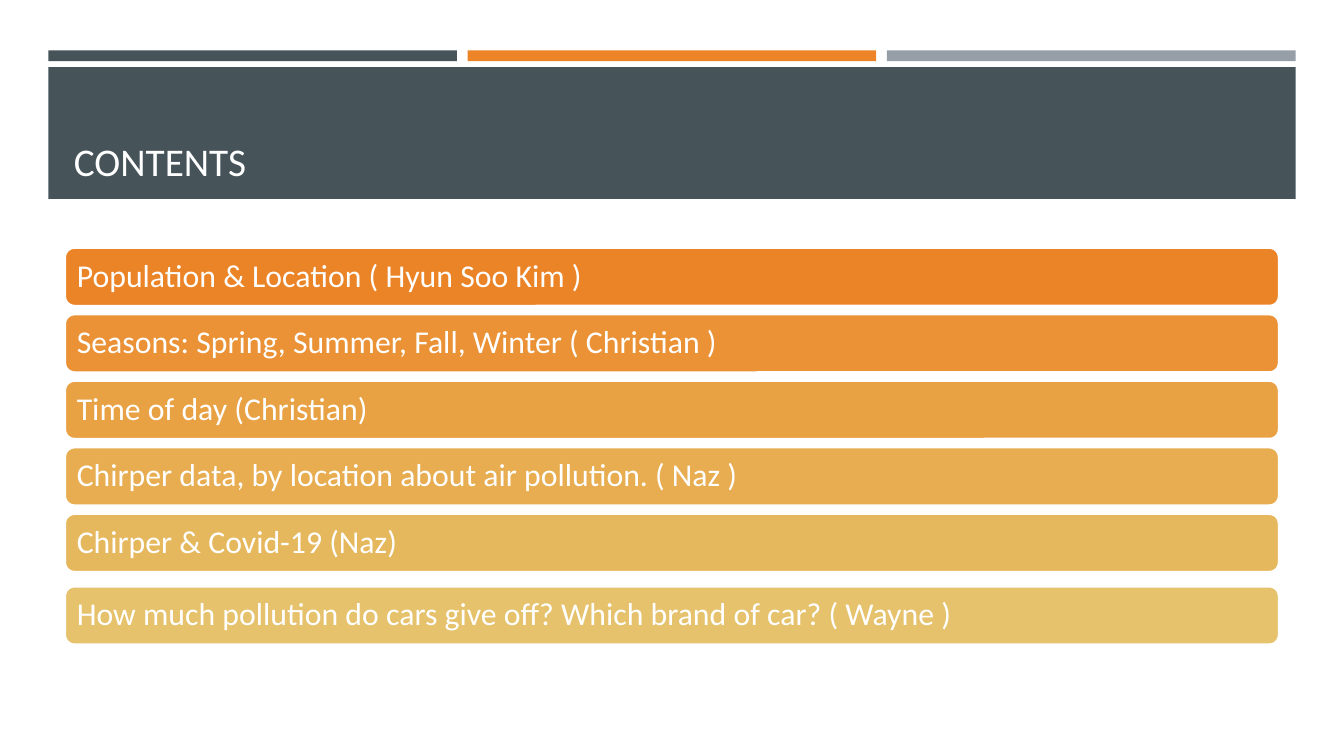
from pptx import Presentation, util as u
from pptx.dml.color import RGBColor
from pptx.enum import shapes, text

HEX = {"slate": "465359", "orange": "ED8428", "grey": "969FA7", "white": "FFFFFF"}
W = 10
H = W * 9 / 16

deck = Presentation()
deck.slide_width, deck.slide_height = u.Inches(W), u.Inches(H)
slide = deck.slides.add_slide(deck.slide_layouts[5])  # title only


def block(kind, x, y, w, h, fill):
    box = slide.shapes.add_shape(kind, *map(u.Inches, (x, y, w, h)))
    box.shadow.inherit = False
    box.fill.solid()
    box.fill.fore_color.rgb = RGBColor.from_string(fill)
    box.line.fill.background()
    return box


def write(frame, words, size, anchor):
    frame.text = words
    frame.word_wrap = True
    frame.auto_size = text.MSO_AUTO_SIZE.NONE
    frame.vertical_anchor = anchor
    frame.margin_left = frame.margin_right = u.Inches(0.07)
    frame.margin_top = frame.margin_bottom = u.Inches(0.04)
    line = frame.paragraphs[0]
    line.alignment = text.PP_ALIGN.LEFT
    line.font.name, line.font.size = "Calibri", u.Pt(size)
    line.font.color.rgb = RGBColor.from_string(HEX["white"])
    return line


# Three accent strips across the top, then the title band
rect = shapes.MSO_SHAPE.RECTANGLE
edge, gap = 0.36, 0.08
wide = (W - 2 * edge - 2 * gap) / 3
for col, name in enumerate(("slate", "orange", "grey")):
    block(rect, edge + col * (wide + gap), H / 15, wide, 0.08, HEX[name])
block(rect, edge, 0.5, W - 2 * edge, 0.98, HEX["slate"])

# Title, brought in front of the band
side = 0.48
span = W - 2 * side
title = slide.shapes.title
title.left, title.top, title.width, title.height = map(u.Inches, (side, 0.58, span, 0.83))
write(title.text_frame, "CONTENTS", 21, text.MSO_ANCHOR.BOTTOM)
title.element.getparent().append(title.element)

# Topic bars, shading from orange to sand
topics = [
    ("Population & Location ( Hyun Soo Kim )", "EB8327"),
    ("Seasons: Spring, Summer, Fall, Winter ( Christian )", "EA9235"),
    ("Time of day (Christian)", "E8A143"),
    ("Chirper data, by location about air pollution. ( Naz )", "E7AD50"),
    ("Chirper & Covid-19 (Naz)", "E6B85E"),
    ("How much pollution do cars give off? Which brand of car? ( Wayne )", "E5C26B"),
]
first, fifth, last = 1.84, 3.82, 4.36  # the last bar sits slightly lower
pitch = (fifth - first) / 4
for row, (words, fill) in enumerate(topics):
    y = last if row == len(topics) - 1 else first + row * pitch
    bar = block(shapes.MSO_SHAPE.ROUNDED_RECTANGLE, side, y, span, 0.44, fill)
    bar.adjustments[0] = 0.17
    bar.line.color.rgb = RGBColor.from_string(HEX["white"])
    bar.line.width = u.Pt(1.75)
    line = write(bar.text_frame, words, 17, text.MSO_ANCHOR.MIDDLE)
    line.line_spacing = 0.9

deck.save("out.pptx")
